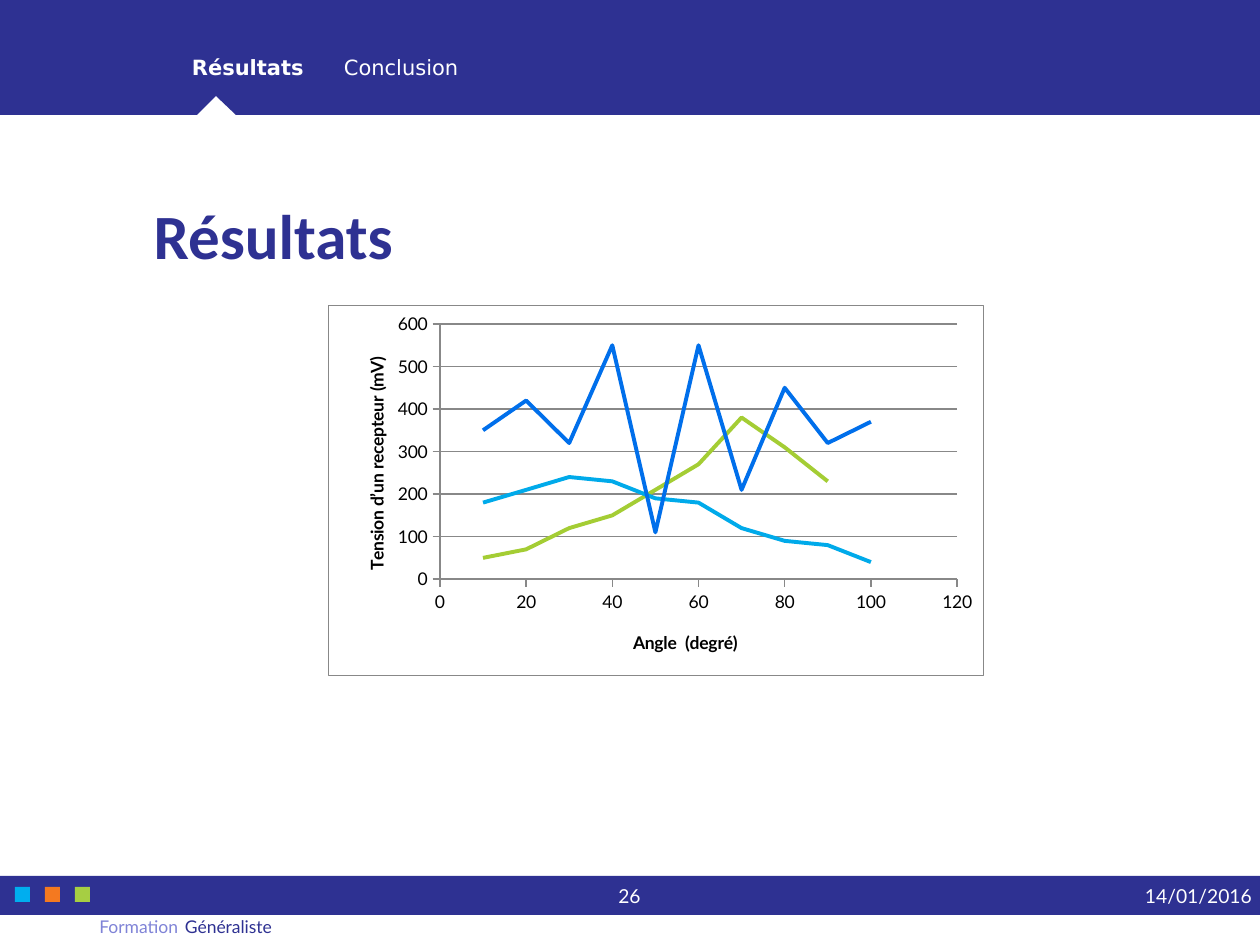
from lxml import etree
from pptx import Presentation
from pptx import util as u
from pptx.chart.data import XyChartData
from pptx.dml.color import RGBColor
from pptx.enum import chart as kinds, shapes, text
from pptx.oxml import ns, parse_xml

PX = 914400 / 126
NAVY, WHITE, GREY = "2E3192", "FFFFFF", "888888"
SQUARES = ["00AEEF", "F47920", "A6CE43"]
CURVES = [
    ("Series 1", "006FEB", [350, 420, 320, 550, 110, 550, 210, 450, 320, 370]),
    ("Series 2", "00AAEA", [180, 210, 240, 230, 190, 180, 120, 90, 80, 40]),
    ("Series 3", "A4CD34", [50, 70, 120, 150, 210, 270, 380, 310, 230]),
]


def px(*lengths):
    """Turn px lengths into EMU."""
    return [u.Emu(round(length * PX)) for length in lengths]


def color(code):
    """Turn a hex string into a colour."""
    return RGBColor.from_string(code)


def style(font, size, code, name="Lato", bold=False):
    """Format a font."""
    font.size, font.name, font.bold = u.Pt(size), name, bold
    font.color.rgb = color(code)


def fill(shape, code):
    """Give a shape a plain fill without line or shadow."""
    shape.shadow.inherit = False
    shape.fill.solid()
    shape.fill.fore_color.rgb = color(code)
    shape.line.fill.background()


def rectangle(page, box, code):
    """Add a plain rectangle."""
    fill(page.shapes.add_shape(shapes.MSO_SHAPE.RECTANGLE, *px(*box)), code)


def label(page, box, words, size, code, align="LEFT", anchor="TOP"):
    """Add a one-line label without insets."""
    frame = page.shapes.add_textbox(*px(*box)).text_frame
    frame.margin_left = frame.margin_right = 0
    frame.margin_top = frame.margin_bottom = 0
    frame.word_wrap = True
    frame.vertical_anchor = getattr(text.MSO_ANCHOR, anchor)
    para = frame.paragraphs[0]
    para.text = words
    para.alignment = getattr(text.PP_ALIGN, align)
    style(para.runs[0].font, size, code)
    return para


def header(page, box):
    """Draw the notched top band with its navigation."""
    left, top, width, height = box
    right, bottom = left + width, top + height
    builder = page.shapes.build_freeform(left, top, scale=PX)
    builder.add_line_segments([
        (right, top), (right, bottom), (left + 236, bottom),
        (left + 216, bottom - 19), (left + 197, bottom), (left, bottom)])
    fill(builder.convert_to_shape(), NAVY)
    para = label(page, (left + 192, top + 48, 915, 38), "Résultats\t",
                 12, WHITE, anchor="MIDDLE")
    stops = etree.SubElement(para._p.get_or_add_pPr(), ns.qn("a:tabLst"))
    etree.SubElement(stops, ns.qn("a:tab"), pos=str(px(152)[0]), algn="l")
    para.add_run().text = "Conclusion"
    for span in para.runs:
        style(span.font, 12, WHITE, "DejaVu Sans", span.text != "Conclusion")


def title(page, box):
    """Place the slide title."""
    holder = page.shapes.title
    holder.left, holder.top, holder.width, holder.height = px(*box)
    frame = holder.text_frame
    frame.text = "Résultats"
    frame.vertical_anchor = text.MSO_ANCHOR.BOTTOM
    para = frame.paragraphs[0]
    para.alignment = text.PP_ALIGN.LEFT
    style(para.runs[0].font, 36, NAVY, "Calibri", True)


def place(parent, values, inner=False):
    """Set a manual chart layout from fractions of the chart area."""
    layout = parent.find(ns.qn("c:layout"))
    if layout is None:
        layout = parent.makeelement(ns.qn("c:layout"))
        parent.insert(0, layout)
    manual = etree.SubElement(layout, ns.qn("c:manualLayout"))
    settings = [("layoutTarget", "inner")] if inner else []
    settings += [("xMode", "edge"), ("yMode", "edge")]
    settings += zip("xywh", values)
    for tag, value in settings:
        etree.SubElement(manual, ns.qn("c:" + tag), val=str(value))


def axis(scale, words, top, step, spot):
    """Format one chart axis."""
    scale.minimum_scale, scale.maximum_scale, scale.major_unit = 0, top, step
    scale.major_tick_mark = kinds.XL_TICK_MARK.OUTSIDE
    scale.minor_tick_mark = kinds.XL_TICK_MARK.NONE
    scale.format.line.color.rgb = color(GREY)
    scale.format.line.width = u.Pt(0.75)
    style(scale.tick_labels.font, 10, "000000")
    frame = scale.axis_title.text_frame
    frame.text = words
    style(frame.paragraphs[0].runs[0].font, 10, "000000", bold=True)
    place(scale.axis_title._element, spot)


def results_chart(page, box):
    """Draw the smooth curves of voltage against angle."""
    data = XyChartData()
    for name, _, values in CURVES:
        series = data.add_series(name)
        for index, value in enumerate(values, 1):
            series.add_data_point(10 * index, value)
    kind = kinds.XL_CHART_TYPE.XY_SCATTER_SMOOTH_NO_MARKERS
    chart = page.shapes.add_chart(kind, *px(*box), data).chart
    chart.has_legend = chart.has_title = False
    style(chart.font, 10, "000000")
    chart.plots[0].vary_by_categories = False
    for series, (_, code, _) in zip(chart.plots[0].series, CURVES):
        series.smooth = True
        series.marker.style = kinds.XL_MARKER_STYLE.NONE
        series.format.line.color.rgb = color(code)
        series.format.line.width = u.Pt(2.25)
    axis(chart.category_axis, "Angle  (degré)", 120, 20, (0.46, 0.87))
    axis(chart.value_axis, "Tension d’un recepteur (mV)", 600, 100, (0.05, 0.13))
    chart.category_axis.has_major_gridlines = False
    grid = chart.value_axis.major_gridlines.format.line
    grid.color.rgb, grid.width = color(GREY), u.Pt(0.75)
    space = chart._chartSpace
    place(space.chart.plotArea, (0.17, 0.05, 0.79, 0.69), inner=True)
    space.find(ns.qn("c:txPr")).addprevious(parse_xml(
        f'<c:spPr {ns.nsdecls("c", "a")}>'
        f'<a:solidFill><a:srgbClr val="{WHITE}"/></a:solidFill>'
        f'<a:ln w="{u.Pt(0.75)}"><a:solidFill><a:srgbClr val="{GREY}"/>'
        '</a:solidFill></a:ln></c:spPr>'))


def footer(page, box):
    """Draw the bottom band with its squares, number, date and credits."""
    left, top, width, height = box
    rectangle(page, box, NAVY)
    for index, code in enumerate(SQUARES):
        rectangle(page, (left + 15 + 30 * index, top + 11, 15, 15), code)
    label(page, (left + 582, top, 95, height), "26", 11, WHITE, "CENTER", "MIDDLE")
    label(page, (left + width - 227, top, 219, height), "14/01/2016", 11, WHITE,
          "RIGHT", "MIDDLE")
    below = top + height + 1
    label(page, (left, below, 178, 30), "Formation", 10, "7F83D7", "RIGHT")
    label(page, (left + 185, below, 630, 30), "Généraliste", 10, NAVY)


def main():
    """Build and save the deck."""
    deck = Presentation()
    deck.slide_width, deck.slide_height = px(1260, 945)
    page = deck.slides.add_slide(deck.slide_layouts[5])
    header(page, (0, 0, 1260, 115))
    title(page, (141, 126, 978, 152))
    results_chart(page, (328, 305, 656, 371))
    footer(page, (0, 876, 1260, 39))
    deck.save("out.pptx")


if __name__ == "__main__":
    main()
